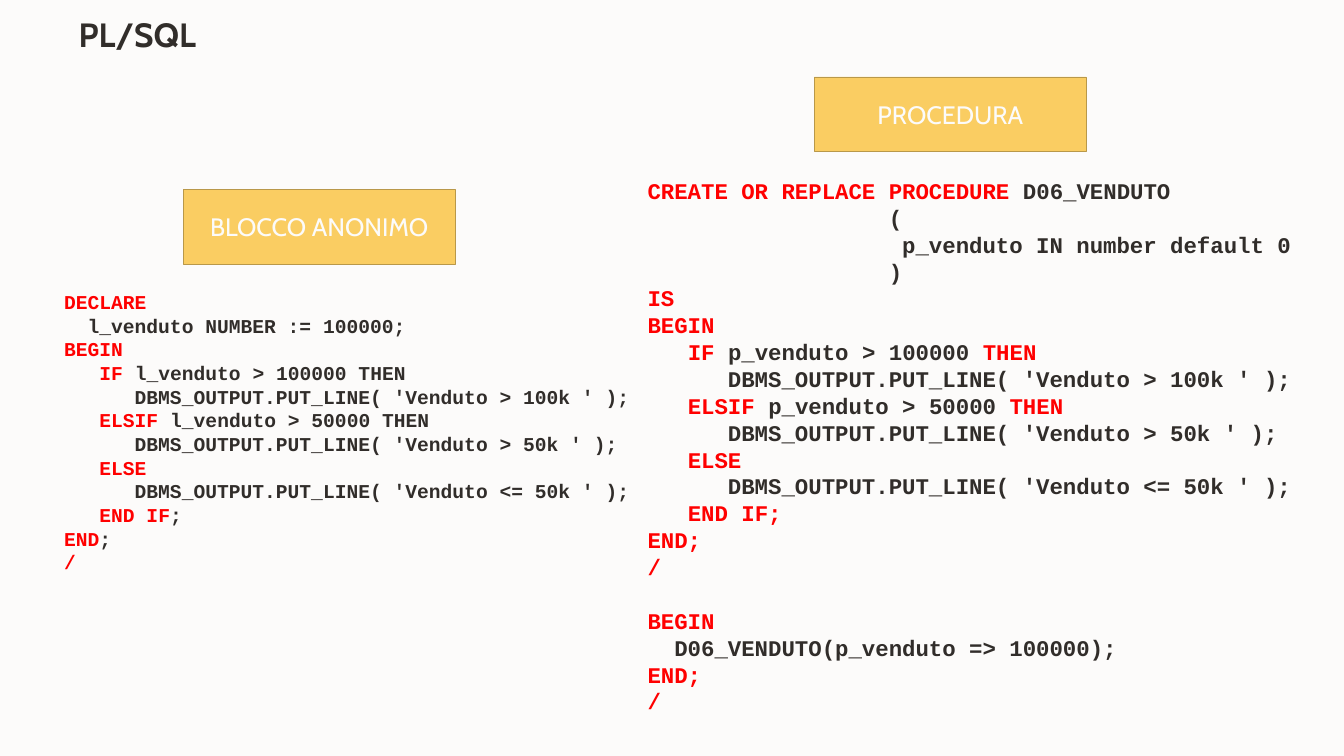
from pptx import Presentation
from pptx.dml.color import RGBColor
from pptx.enum.shapes import MSO_SHAPE as Shape
from pptx.enum.text import MSO_ANCHOR as Anchor, MSO_AUTO_SIZE as AutoSize, PP_ALIGN as Align
from pptx.util import Pt

COLORS = {
    "paper": "FCFBFA",
    "ink": "312D2A",
    "keyword": "FF0000",
    "label": "FACD62",
    "border": "B99849",
}

# Keywords stand between bars; an empty line becomes a gap
ANONYMOUS_BLOCK = """|DECLARE|
  l_venduto NUMBER := 100000;
|BEGIN|
   |IF |l_venduto > 100000 THEN
      DBMS_OUTPUT.PUT_LINE( 'Venduto > 100k ' );
   |ELSIF |l_venduto > 50000 THEN
      DBMS_OUTPUT.PUT_LINE( 'Venduto > 50k ' );
   |ELSE|
      DBMS_OUTPUT.PUT_LINE( 'Venduto <= 50k ' );
   |END IF|;
|END|;
|/|"""

PROCEDURE = """|CREATE OR REPLACE PROCEDURE |D06_VENDUTO
                  (
                   p_venduto IN number default 0
                  )
|IS|
|BEGIN|
   |IF |p_venduto > 100000 |THEN|
      DBMS_OUTPUT.PUT_LINE( 'Venduto > 100k ' );
   |ELSIF |p_venduto > 50000 |THEN|
      DBMS_OUTPUT.PUT_LINE( 'Venduto > 50k ' );
   |ELSE|
      DBMS_OUTPUT.PUT_LINE( 'Venduto <= 50k ' );
   |END IF;|
|END;|
|/|

|BEGIN|
  D06_VENDUTO(p_venduto => 100000);
|END;|
|/|"""


class SlideBuilder:
    text_font = "Cabin"
    code_font = "Courier New"

    def __init__(self, slide):
        self.slide = slide
        fill = slide.background.fill
        fill.solid()
        fill.fore_color.rgb = self.color("paper")

    def color(self, name):
        return RGBColor.from_string(COLORS[name])

    def add_run(self, para, text, font, size, color, bold=False):
        run = para.add_run()
        run.text = text
        run.font.name = font
        run.font.size = Pt(size)
        run.font.bold = bold
        run.font.color.rgb = self.color(color)

    def title(self, text, left, top, width, height):
        box = self.slide.shapes.title
        box.left, box.top, box.width, box.height = map(Pt, (left, top, width, height))
        frame = box.text_frame
        frame.auto_size = AutoSize.NONE
        frame.vertical_anchor = Anchor.BOTTOM
        frame.margin_left = frame.margin_right = 0
        frame.margin_top = frame.margin_bottom = 0
        para = frame.paragraphs[0]
        para.alignment = Align.LEFT
        para.line_spacing = 0.95
        self.add_run(para, text, self.text_font, 24, "ink", bold=True)

    def label(self, text, left, top):
        box = self.slide.shapes.add_shape(
            Shape.RECTANGLE, Pt(left), Pt(top), Pt(194), Pt(53.3))
        box.shadow.inherit = False
        box.fill.solid()
        box.fill.fore_color.rgb = self.color("label")
        box.line.color.rgb = self.color("border")
        box.line.width = Pt(0.25)
        box.text_frame.vertical_anchor = Anchor.MIDDLE
        para = box.text_frame.paragraphs[0]
        para.alignment = Align.CENTER
        self.add_run(para, text, self.text_font, 18, "paper")

    def code(self, source, left, top, height, size, pitch):
        box = self.slide.shapes.add_textbox(Pt(left), Pt(top), Pt(488), Pt(height))
        frame = box.text_frame
        frame.word_wrap = True
        frame.margin_top = Pt(4.8)
        para, gap = frame.paragraphs[0], 0
        for number, line in enumerate(source.split("\n")):
            if not line:
                gap = pitch
                continue
            if number:
                para = frame.add_paragraph()
            para.line_spacing = Pt(pitch)
            if gap:
                para.space_before = Pt(gap)
                gap = 0
            for index, part in enumerate(line.split("|")):
                if part:
                    color = "keyword" if index % 2 else "ink"
                    self.add_run(para, part, self.code_font, size, color, bold=True)


def main():
    deck = Presentation()
    deck.slide_width, deck.slide_height = Pt(960), Pt(540)
    page = SlideBuilder(deck.slides.add_slide(deck.slide_layouts[5]))

    # Heading
    page.title("PL/SQL", 56.2, 0, 453.6, 39.6)

    # Code listings
    page.code(ANONYMOUS_BLOCK, 38.7, 202.3, 211, size=14, pitch=16.9)
    page.code(PROCEDURE, 455.5, 121.7, 395.3, size=16, pitch=19.2)

    # Labels above the listings
    page.label("BLOCCO ANONIMO", 131, 135.4)
    page.label("PROCEDURA", 581.8, 54.9)

    deck.save("out.pptx")


if __name__ == "__main__":
    main()
